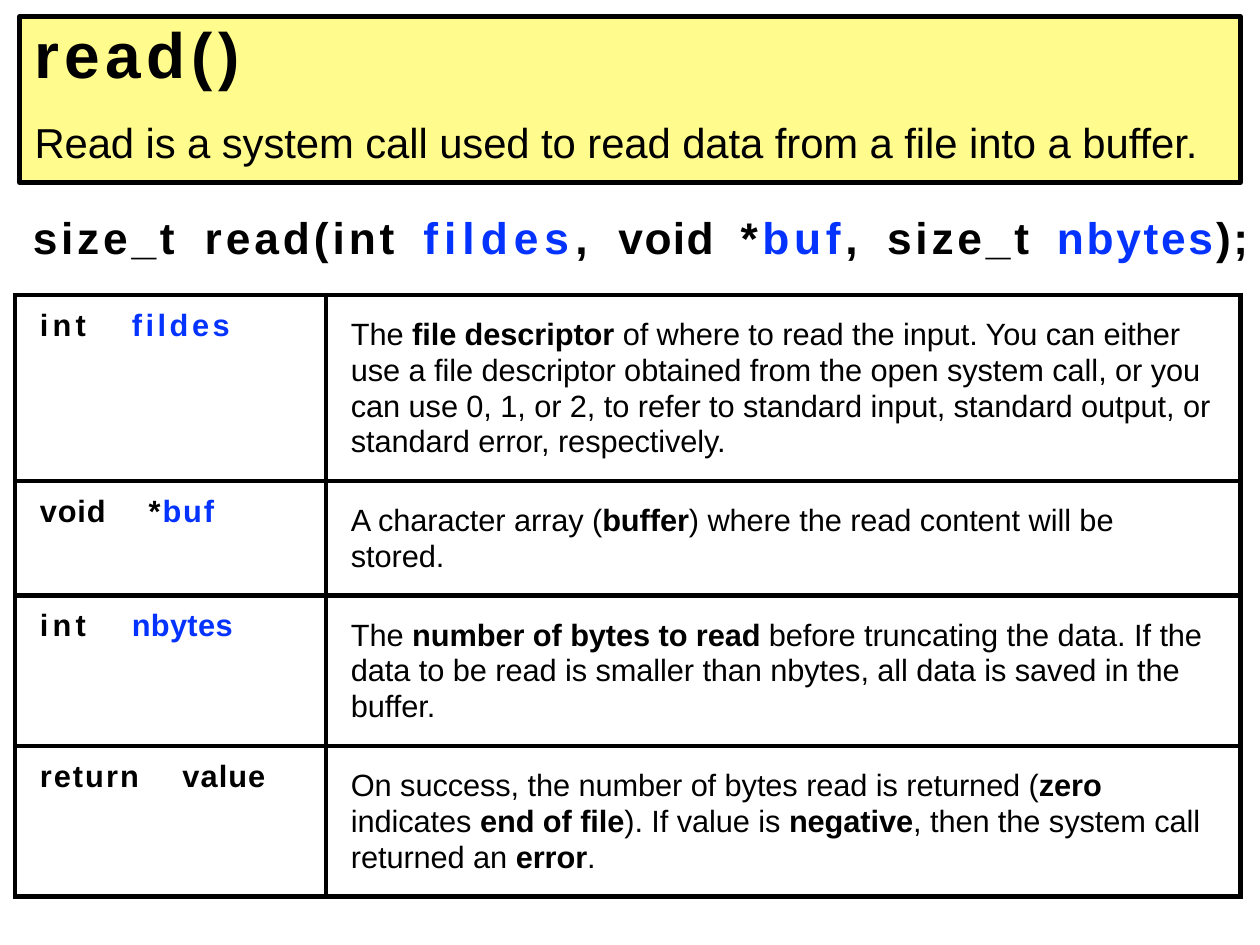
from pptx import Presentation
from pptx.dml.color import RGBColor
from pptx.enum.text import MSO_ANCHOR, MSO_AUTO_SIZE, PP_ALIGN
from pptx.oxml.ns import qn
from pptx.util import Cm, Pt
from lxml.etree import SubElement, Element

BLACK = RGBColor(0x00, 0x00, 0x00)
BLUE = RGBColor(0x04, 0x33, 0xFF)
YELLOW = RGBColor(0xFF, 0xFB, 0x8C)
WHITE = RGBColor(0xFF, 0xFF, 0xFF)
FONT = "Arial"

TITLE = "read()"
SUMMARY = "Read is a system call used to read data from a file into a buffer."

# Code runs: text, letter spacing in points, colour
SIGNATURE = [
    ("size_t\t", 3.1, BLACK), ("read(int\t", 3.2, BLACK),
    ("fildes", 4.9, BLUE), (",\t", 4.9, BLACK),
    ("void\t", 1.2, BLACK), ("*", 3.8, BLACK),
    ("buf", 3.8, BLUE), (",\t", 3.8, BLACK),
    ("size_t\t", 3.1, BLACK), ("nbytes", 2.2, BLUE), (");", 2.2, BLACK),
]
SIGNATURE_TABS = [4.93, 11.2, 16.79, 20.29, 24.49, 29.36]

# Rows: height, tab stop, code runs, description with |bold| parts
ROWS = [
    (5.33, 2.64, [("int\t", 3.5, BLACK), ("fildes", 2.9, BLUE)],
     "The |file descriptor| of where to read the input. You can either use a "
     "file descriptor obtained from the open system call, or you can use 0, 1, "
     "or 2, to refer to standard input, standard output, or standard error, "
     "respectively."),
    (3.28, 3.12, [("void\t", 0.8, BLACK), ("*", 1.6, BLACK), ("buf", 1.6, BLUE)],
     "A character array (|buffer|) where the read content will be stored."),
    (4.32, 2.64, [("int\t", 3.5, BLACK), ("nbytes", 0.3, BLUE)],
     "The |number of bytes to read| before truncating the data. If the data to "
     "be read is smaller than nbytes, all data is saved in the buffer."),
    (4.32, 4.09, [("return\t", 1.7, BLACK), ("value", 0.9, BLACK)],
     "On success, the number of bytes read is returned (|zero| indicates "
     "|end of file|). If value is |negative|, then the system call returned "
     "an |error|."),
]
COLUMN_WIDTHS = [8.92, 26.21]


def add_text(p, text, size=25, bold=False, color=BLACK, spacing=-0.06):
    """Add one formatted run to a paragraph."""
    r = p.add_run()
    r.text = text
    r.font.name = FONT
    r.font.size = Pt(size)
    r.font.bold = bold
    r.font.color.rgb = color
    r.font._element.set("spc", str(round(spacing * 100)))


def add_code(p, runs, tabs, size):
    """Fill a paragraph with bold code runs aligned on tab stops."""
    tab_list = SubElement(p._p.get_or_add_pPr(), qn("a:tabLst"))
    for pos in tabs:
        SubElement(tab_list, qn("a:tab"), pos=str(Cm(pos)), algn="l")
    for text, spacing, color in runs:
        add_text(p, text, size=size, bold=True, color=color, spacing=spacing)


def set_margins(box, left, top, right=0):
    """Set the inner margins of a text frame or cell, in centimetres."""
    box.margin_left, box.margin_top = Cm(left), Cm(top)
    box.margin_right, box.margin_bottom = Cm(right), 0


def add_borders(cell, width=4.25):
    """Draw a solid black line on all four sides of a cell."""
    tc_pr = cell._tc.get_or_add_tcPr()
    for i, side in enumerate(("a:lnL", "a:lnR", "a:lnT", "a:lnB")):
        line = Element(qn(side), w=str(Pt(width)))
        fill = SubElement(line, qn("a:solidFill"))
        SubElement(fill, qn("a:srgbClr"), val=str(BLACK))
        tc_pr.insert(i, line)


def add_heading(s):
    """Turn the title placeholder into the yellow heading box."""
    sp = s.shapes.title
    sp.left, sp.top, sp.width, sp.height = Cm(0.56), Cm(0.48), Cm(35), Cm(4.75)
    sp.fill.solid()
    sp.fill.fore_color.rgb = YELLOW
    sp.line.color.rgb = BLACK
    sp.line.width = Pt(4)
    tf = sp.text_frame
    tf.auto_size = MSO_AUTO_SIZE.NONE
    tf.vertical_anchor = MSO_ANCHOR.TOP
    set_margins(tf, 0.43, 0)
    name, summary = tf.paragraphs[0], tf.add_paragraph()
    name.alignment = summary.alignment = PP_ALIGN.LEFT
    name.line_spacing = Pt(61)
    summary.space_before = Pt(20.6)
    add_text(name, TITLE, size=52, bold=True, spacing=4.5)
    add_text(summary, SUMMARY, size=34)


def add_signature(s):
    """Add the function signature below the heading."""
    tf = s.shapes.add_textbox(Cm(0.94), Cm(5.99), Cm(35.1), Cm(1.6)).text_frame
    tf.word_wrap = True
    set_margins(tf, 0, 0.03)
    add_code(tf.paragraphs[0], SIGNATURE, SIGNATURE_TABS, 36)


def add_parameters(s):
    """Add the table of parameters and the return value."""
    height = sum(row[0] for row in ROWS)
    table = s.shapes.add_table(len(ROWS), 2, Cm(0.43), Cm(8.46),
                               Cm(sum(COLUMN_WIDTHS)), Cm(height)).table
    table.first_row = table.horz_banding = False
    for column, width in zip(table.columns, COLUMN_WIDTHS):
        column.width = Cm(width)
    for row, (height, tab, code, description) in zip(table.rows, ROWS):
        row.height = Cm(height)
        label, detail = row.cells
        for cell in (label, detail):
            cell.fill.solid()
            cell.fill.fore_color.rgb = WHITE
            add_borders(cell)
        set_margins(label, 0.71, 0.4)
        set_margins(detail, 0.71, 0.62, right=0.86)
        add_code(label.text_frame.paragraphs[0], code, [tab], 25)
        p = detail.text_frame.paragraphs[0]
        p.line_spacing = Pt(29)
        for i, part in enumerate(description.split("|")):
            add_text(p, part, bold=i % 2 == 1)


prs = Presentation()
prs.slide_width, prs.slide_height = Cm(36.12), Cm(27.1)
s = prs.slides.add_slide(prs.slide_layouts[5])
add_heading(s)
add_parameters(s)
add_signature(s)
prs.save("out.pptx")
